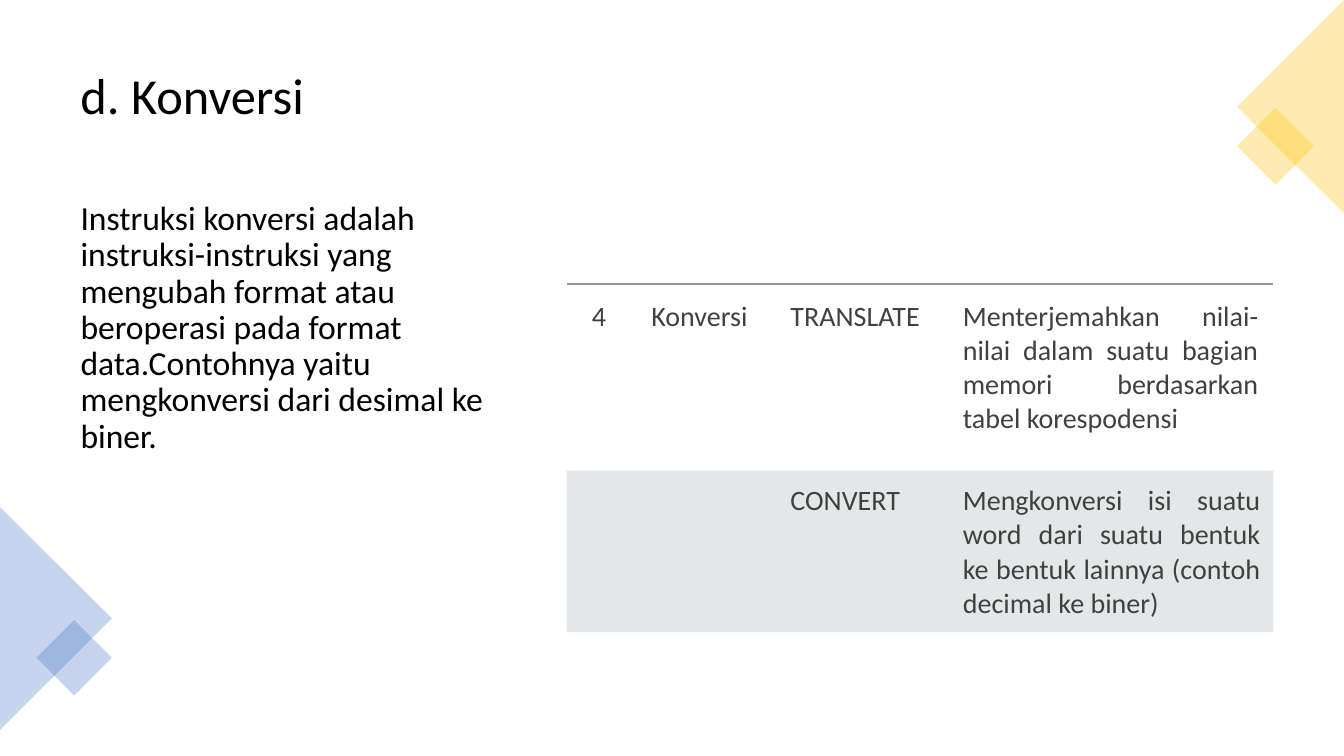
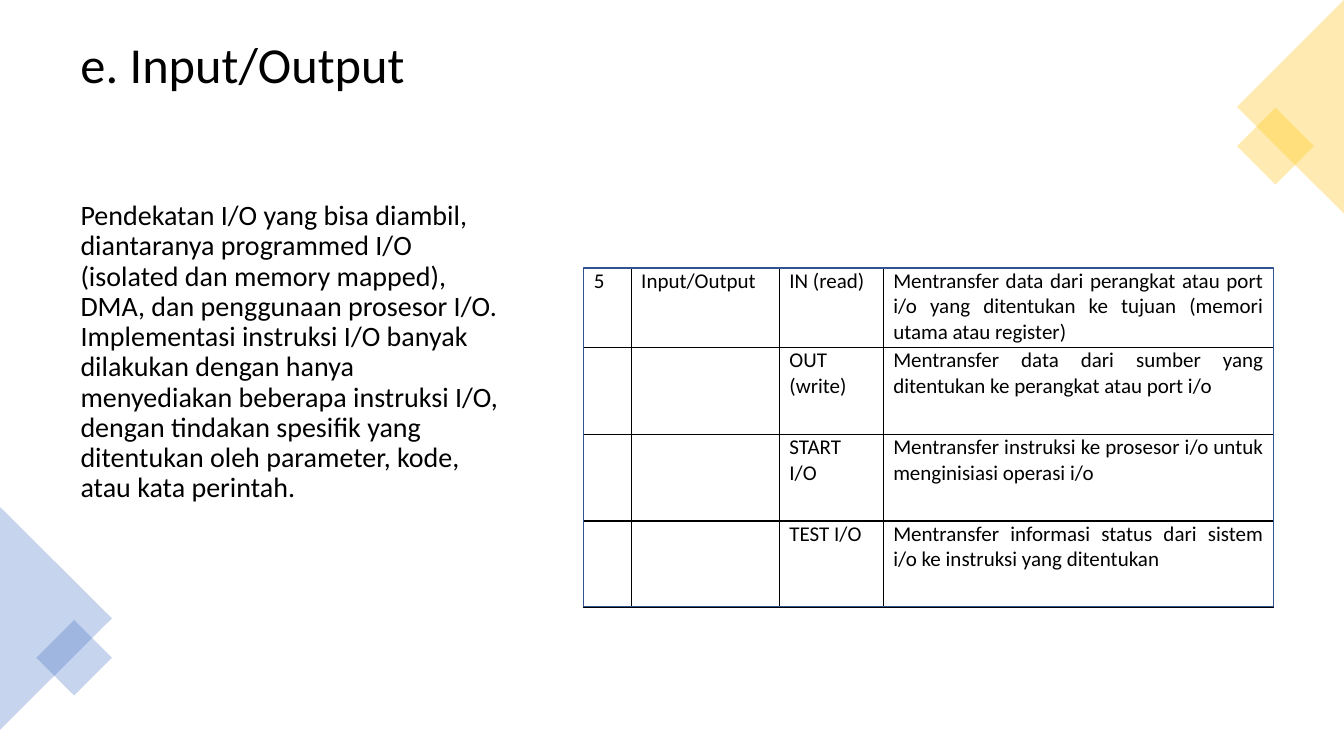
from lxml.etree import SubElement
from pptx import Presentation
from pptx.dml.color import RGBColor
from pptx.enum.shapes import MSO_SHAPE as Shape
from pptx.enum.text import MSO_ANCHOR as Anchor, PP_ALIGN as Align
from pptx.oxml.ns import qn
from pptx.util import Inches, Pt

FONT = "Calibri"
COLORS = {
    "text": "000000",
    "cell_text": "404040",
    "blue": "4472C4",
    "gold": "FFC000",
    "rule": "8F9A9D",
    "band": "B4BCBE",
    "white": "FFFFFF",
    "frame": "325491",
}
# Shape, position and size, rotation of each corner ornament
CORNERS = {
    "blue": [(Shape.ISOSCELES_TRIANGLE, (-0.55, 5.58, 2.21, 1.11), 90),
             (Shape.RECTANGLE, (0.47, 6.26, 0.53, 0.53), 45)],
    "gold": [(Shape.RECTANGLE, (12.38, 1.18, 0.54, 0.54), 45),
             (Shape.ISOSCELES_TRIANGLE, (11.74, 0.53, 2.12, 1.06), 270)],
}
KONVERSI_ROWS = [
    ["4", "Konversi", "TRANSLATE",
     "Menterjemahkan nilai-nilai dalam suatu bagian memori berdasarkan "
     "tabel korespodensi"],
    ["", "", "CONVERT",
     "Mengkonversi isi suatu word dari suatu bentuk ke bentuk lainnya "
     "(contoh decimal ke biner)"],
]
IO_ROWS = [
    ["5", "Input/Output", "IN (read)",
     "Mentransfer data dari perangkat atau port i/o yang ditentukan ke tujuan "
     "(memori utama atau register)"],
    ["", "", "OUT (write)",
     "Mentransfer data dari sumber yang ditentukan ke perangkat atau port i/o"],
    ["", "", "START I/O",
     "Mentransfer instruksi ke prosesor i/o untuk menginisiasi operasi i/o"],
    ["", "", "TEST I/O",
     "Mentransfer informasi status dari sistem i/o ke instruksi yang ditentukan"],
]


def rgb(color):
    """Return the named colour."""
    return RGBColor.from_string(COLORS[color])


def inches(values):
    """Turn several numbers into lengths."""
    return [Inches(value) for value in values]


def paint(fill, properties, color, opacity=100):
    """Fill solidly, with an opacity in percent."""
    fill.solid()
    fill.fore_color.rgb = rgb(color)
    if opacity < 100:
        tint = properties.find(qn("a:solidFill") + "/" + qn("a:srgbClr"))
        SubElement(tint, qn("a:alpha"), val=str(opacity * 1000))


def style_paragraph(paragraph, size, color):
    """Set the font of a paragraph's runs."""
    for run in paragraph.runs:
        run.font.name = FONT
        run.font.size = Pt(size)
        run.font.color.rgb = rgb(color)


def add_text(slide, box, text, size, before=0, anchor=Anchor.TOP, bottom=0.05):
    """Add a wrapped text block with tight line spacing."""
    frame = slide.shapes.add_textbox(*inches(box)).text_frame
    frame.word_wrap = True
    frame.vertical_anchor = anchor
    frame.margin_bottom = Inches(bottom)
    frame.text = text
    paragraph = frame.paragraphs[0]
    paragraph.line_spacing = 0.9
    paragraph.space_before = Pt(before)
    style_paragraph(paragraph, size, "text")


def add_corners(slide):
    """Draw the translucent ornaments in two corners."""
    for color, pieces in CORNERS.items():
        corner = slide.shapes.add_group_shape()
        for kind, box, rotation in pieces:
            piece = corner.shapes.add_shape(kind, *inches(box))
            piece.rotation = rotation
            piece.shadow.inherit = False
            piece.line.fill.background()
            paint(piece.fill, piece._element.spPr, color, 30)


def set_borders(cell, borders):
    """Draw the given sides (colour, points, opacity) and clear the others."""
    properties = cell._tc.get_or_add_tcPr()
    for side in "LRTB":
        color, width, opacity = borders.get(side, (None, 0, 100))
        line = SubElement(properties, qn("a:ln" + side), w=str(Pt(width)))
        if color is None:
            SubElement(line, qn("a:noFill"))
        else:
            solid = SubElement(line, qn("a:solidFill"))
            tint = SubElement(solid, qn("a:srgbClr"), val=COLORS[color])
            SubElement(tint, qn("a:alpha"), val=str(opacity * 1000))


def add_instructions(slide, position, widths, heights, rows, size, color, style):
    """Add an instruction table; style(row) gives margins, borders and fill."""
    extent = (sum(widths), sum(heights))
    table = slide.shapes.add_table(
        len(rows), len(widths), *inches(position + extent)).table
    table.first_row = table.horz_banding = False
    for column, width in zip(table.columns, widths):
        column.width = Inches(width)
    for index, (row, height, texts) in enumerate(zip(table.rows, heights, rows)):
        row.height = Inches(height)
        margins, borders, fill = style(index)
        for cell, text in zip(row.cells, texts):
            (cell.margin_left, cell.margin_top,
             cell.margin_right, cell.margin_bottom) = inches(margins)
            set_borders(cell, borders)
            if fill:
                paint(cell.fill, cell._tc.tcPr, *fill)
            else:
                cell.fill.background()
            cell.text = text
            paragraph = cell.text_frame.paragraphs[0]
            paragraph.alignment = Align.JUSTIFY
            style_paragraph(paragraph, size, color)


def konversi_style(row):
    """A ruled first row above a grey band."""
    if row == 0:
        return (0.25, 0.15, 0.15, 0.15), {"T": ("rule", 1.5, 60)}, None
    return (0.25, 0.13, 0.13, 0.13), {}, ("band", 35)


def io_style(row):
    """A plain black grid on white."""
    return (0.1, 0, 0.1, 0), {side: ("text", 1, 100) for side in "LRTB"}, ("white",)


def add_frame(slide, box):
    """Outline a table."""
    frame = slide.shapes.add_shape(Shape.RECTANGLE, *inches(box))
    frame.shadow.inherit = False
    frame.fill.background()
    frame.line.color.rgb = rgb("frame")
    frame.line.width = Pt(1)


def add_topic(deck, title, body, body_size, title_bottom=0.05):
    """Add a slide with title, explanation and corner ornaments."""
    slide = deck.slides.add_slide(deck.slide_layouts[6])
    add_text(slide, (0.7, 0.35, 11.93, 1.24), title, 36,
             anchor=Anchor.MIDDLE, bottom=title_bottom)
    add_text(slide, (0.7, 1.95, 4.38, 4.81), body, body_size, before=10)
    add_corners(slide)
    return slide


def main():
    """Build and save the deck."""
    deck = Presentation()
    deck.slide_width, deck.slide_height = inches((13.33, 7.5))

    konversi = add_topic(
        deck, "d. Konversi",
        "Instruksi konversi adalah instruksi-instruksi yang mengubah format atau "
        "beroperasi pada format data.Contohnya yaitu mengkonversi dari desimal ke "
        "biner.", 24)
    add_instructions(konversi, (5.62, 2.82), (0.59, 1.38, 1.71, 3.33), (1.85, 1.6),
                     KONVERSI_ROWS, 20, "cell_text", konversi_style)

    input_output = add_topic(
        deck, "e. Input/Output",
        "Pendekatan I/O yang bisa diambil, diantaranya programmed I/O (isolated dan "
        "memory mapped), DMA, dan penggunaan prosesor I/O. Implementasi instruksi "
        "I/O banyak dilakukan dengan hanya menyediakan beberapa instruksi I/O, "
        "dengan tindakan spesifik yang ditentukan oleh parameter, kode, atau kata "
        "perintah.", 20, title_bottom=0.65)
    add_instructions(input_output, (5.79, 2.66), (0.47, 1.47, 1.03, 3.87),
                     (0.79, 0.86, 0.86, 0.86), IO_ROWS, 15, "text", io_style)
    add_frame(input_output, (5.79, 2.66, 6.84, 3.36))

    deck.save("out.pptx")


main()
